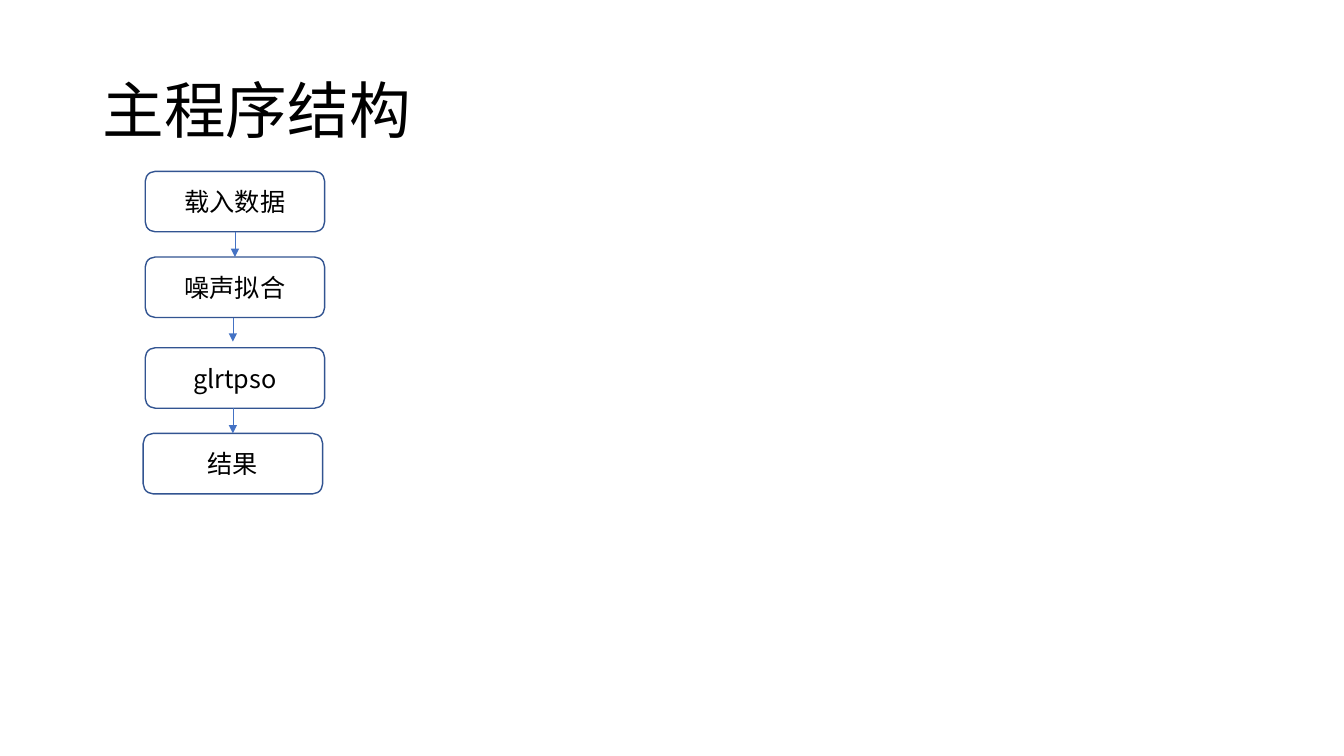
from lxml import etree
from pptx import Presentation
from pptx import util as u
from pptx.dml.color import RGBColor
from pptx.enum import shapes, text
from pptx.oxml.ns import qn

PX = 9144
FONT = "Noto Sans CJK SC"
BOX_W, BOX_H = 178, 60
STEPS = [
    ("载入数据", 144, 170),
    ("噪声拟合", 144, 255),
    ("glrtpso", 144, 345),
    ("结果", 142, 430),
]
ARROWS = [(233, 230, 255), (231, 315, 339), (231, 405, 430)]


def px(*values):
    return [u.Emu(v * PX) for v in values]


def color(value):
    return RGBColor.from_string(value)


def write(sp, content, size=18, fill="000000", align=text.PP_ALIGN.LEFT, spacing=1.0):
    tf = sp.text_frame
    tf.word_wrap = True
    tf.vertical_anchor = text.MSO_ANCHOR.MIDDLE
    p = tf.paragraphs[0]
    p.alignment = align
    p.line_spacing = spacing
    r = p.add_run()
    r.text = content
    r.font.size = u.Pt(size)
    r.font.name = FONT
    r.font.color.rgb = color(fill)
    etree.SubElement(r.font._element, qn("a:ea"), typeface=FONT)


def add_title(s, content):
    sp = s.shapes.add_textbox(*px(92, 40, 1150, 145))
    write(sp, content, size=44, spacing=0.9)


def add_step(s, content, x, y):
    kind = shapes.MSO_SHAPE.FLOWCHART_ALTERNATE_PROCESS
    sp = s.shapes.add_shape(kind, *px(x, y, BOX_W, BOX_H))
    sp.shadow.inherit = False
    sp.fill.solid()
    sp.fill.fore_color.rgb = color("FFFFFF")
    sp.line.color.rgb = color("325491")
    sp.line.width = u.Pt(1)
    write(sp, content, align=text.PP_ALIGN.CENTER)


def add_arrow(s, x, top, bottom):
    kind = shapes.MSO_CONNECTOR.STRAIGHT
    c = s.shapes.add_connector(kind, *px(x, top, x, bottom))
    c.line.color.rgb = color("4472C4")
    c.line.width = u.Pt(0.5)
    etree.SubElement(c.line._get_or_add_ln(), qn("a:tailEnd"), type="triangle")
    etree.SubElement(c._element.spPr, qn("a:effectLst"))


def main():
    prs = Presentation()
    prs.slide_width, prs.slide_height = px(1333, 750)
    s = prs.slides.add_slide(prs.slide_layouts[6])
    add_title(s, "主程序结构")
    for step in STEPS:
        add_step(s, *step)
    for arrow in ARROWS:
        add_arrow(s, *arrow)
    prs.save("out.pptx")


if __name__ == "__main__":
    main()
